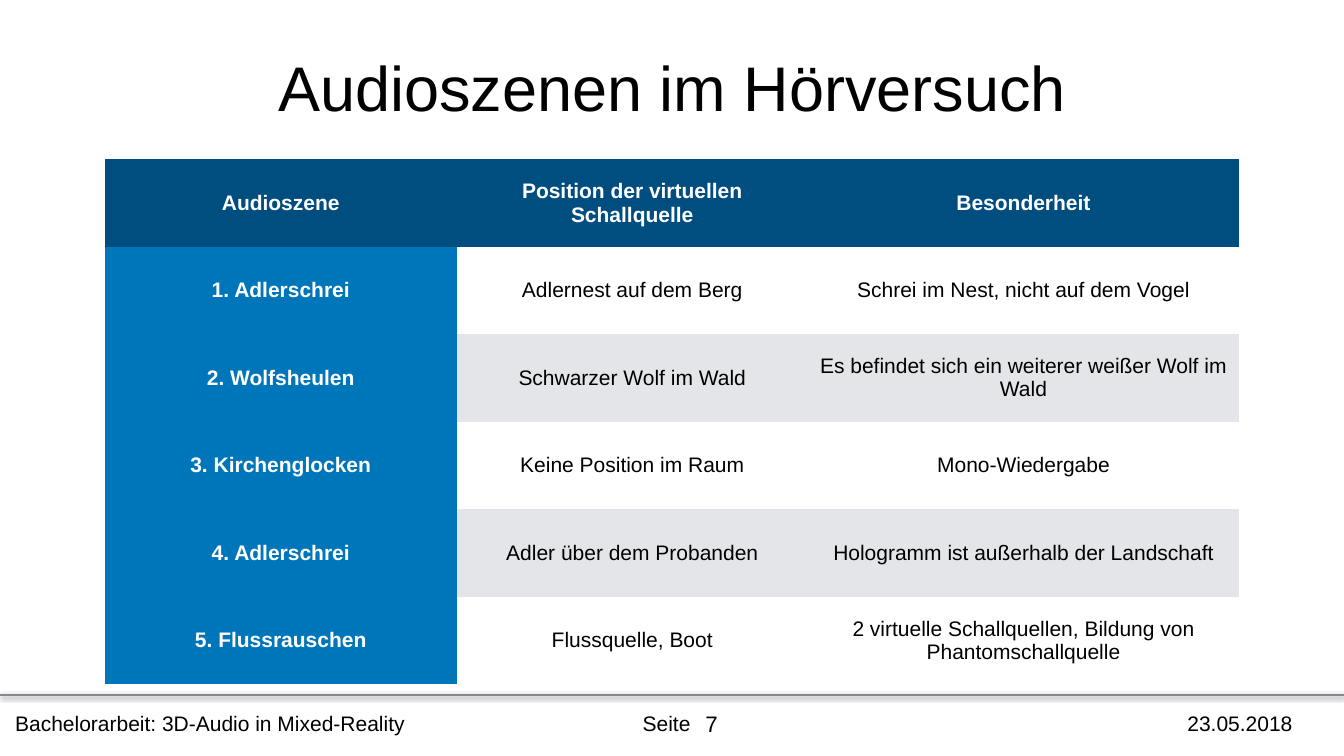
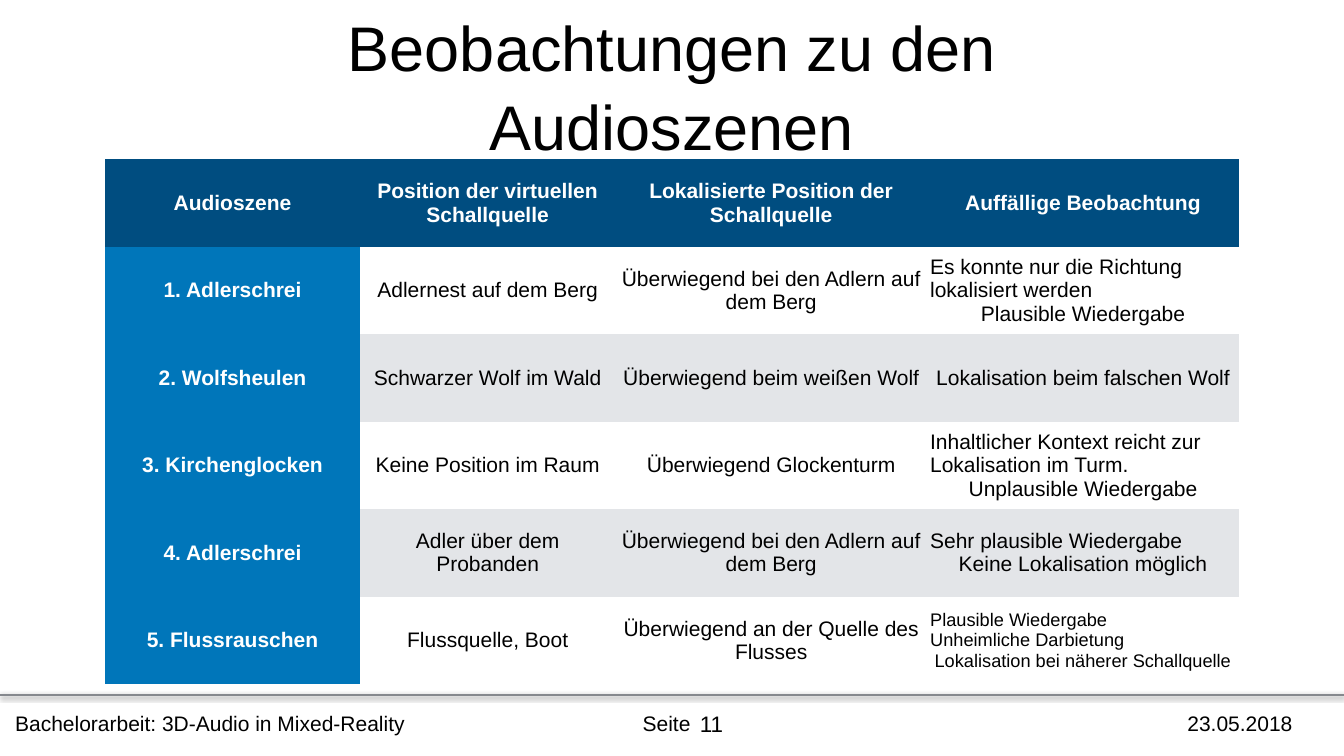
import pptx
import pptx.dml.color
import pptx.enum.shapes
import pptx.enum.text
import pptx.util
from dataclasses import dataclass
from lxml import etree
from pptx.oxml import ns

RGBColor = pptx.dml.color.RGBColor
Align = pptx.enum.text.PP_ALIGN
Anchor = pptx.enum.text.MSO_ANCHOR

# Slide grid: 128 columns by 72 rows of square cells
WIDE, HIGH = pptx.util.Inches(26.67), pptx.util.Inches(15)
COLS, ROWS = 128, 72

# Shared look
FONT = "Arial"
BLACK = RGBColor(0x00, 0x00, 0x00)
WHITE = RGBColor(0xFF, 0xFF, 0xFF)
NAVY = RGBColor(0x00, 0x4D, 0x80)
BLUE = RGBColor(0x00, 0x76, 0xBA)
PALE = RGBColor(0xE3, 0xE5, 0xE8)
GREY = RGBColor(0x85, 0x88, 0x8D)
PLAIN = "{2D5ABB26-0587-4C30-8999-92F81FD0307C}"  # table style without borders
INSET, PAD = pptx.util.Inches(0.08), pptx.util.Inches(0.06)
RULE = 66.2  # grid row of the footer line


@dataclass(frozen=True)
class Box:
    left: float
    top: float
    width: float
    height: float

    def place(self) -> tuple[int, int, int, int]:
        return (across(self.left), down(self.top),
                across(self.width), down(self.height))


@dataclass(frozen=True)
class Label:
    text: str
    box: Box


@dataclass(frozen=True)
class Page:
    title: str
    number: str
    shares: tuple[int, ...]  # relative column widths
    rows: tuple[tuple[str, ...], ...]


TITLE = Box(23, 0, 82, 16)
TABLE = Box(10, 15.17, 108, 50)
FOOTER = (
    Label("Bachelorarbeit: 3D-Audio in Mixed-Reality", Box(1.06, 67.3, 39, 3.17)),
    Label("23.05.2018", Box(112.7, 67.3, 13.8, 3.17)),
    Label("Seite", Box(60.82, 67.3, 6.4, 3.17)),
)

PAGES = (
    Page("Audioszenen im Hörversuch", "7", (31, 31, 38), (
        ("Audioszene", "Position der virtuellen Schallquelle", "Besonderheit"),
        ("1. Adlerschrei", "Adlernest auf dem Berg",
         "Schrei im Nest, nicht auf dem Vogel"),
        ("2. Wolfsheulen", "Schwarzer Wolf im Wald",
         "Es befindet sich ein weiterer weißer Wolf im Wald"),
        ("3. Kirchenglocken", "Keine Position im Raum", "Mono-Wiedergabe"),
        ("4. Adlerschrei", "Adler über dem Probanden",
         "Hologramm ist außerhalb der Landschaft"),
        ("5. Flussrauschen", "Flussquelle, Boot",
         "2 virtuelle Schallquellen, Bildung von Phantomschallquelle"),
    )),
    Page("Beobachtungen zu den Audioszenen", "11", (9, 9, 11, 11), (
        ("Audioszene", "Position der virtuellen Schallquelle",
         "Lokalisierte Position der Schallquelle", "Auffällige Beobachtung"),
        ("1. Adlerschrei", "Adlernest auf dem Berg",
         "Überwiegend bei den Adlern auf dem Berg",
         "Es konnte nur die Richtung lokalisiert werden\nPlausible Wiedergabe"),
        ("2. Wolfsheulen", "Schwarzer Wolf im Wald",
         "Überwiegend beim weißen Wolf", "Lokalisation beim falschen Wolf"),
        ("3. Kirchenglocken", "Keine Position im Raum", "Überwiegend Glockenturm",
         "Inhaltlicher Kontext reicht zur Lokalisation im Turm.\n"
         "Unplausible Wiedergabe"),
        ("4. Adlerschrei", "Adler über dem Probanden",
         "Überwiegend bei den Adlern auf dem Berg",
         "Sehr plausible Wiedergabe\nKeine Lokalisation möglich"),
        ("5. Flussrauschen", "Flussquelle, Boot",
         "Überwiegend an der Quelle des Flusses",
         "Plausible Wiedergabe\nUnheimliche Darbietung\n"
         "Lokalisation bei näherer Schallquelle"),
    )),
)


def across(cols: float) -> int:
    return round(WIDE * cols / COLS)


def down(rows: float) -> int:
    return round(HIGH * rows / ROWS)


def write(para, text: str, size: float, align, color=BLACK, bold=False) -> None:
    """Add one formatted run to a paragraph."""
    para.alignment = align
    run = para.add_run()
    run.text = text
    font = run.font
    font.name, font.size, font.bold = FONT, pptx.util.Pt(size), bold
    font.color.rgb = color


def frame(shape, anchor, wrap: bool = True):
    """Prepare a text frame and return its first paragraph."""
    body = shape.text_frame
    body.auto_size = pptx.enum.text.MSO_AUTO_SIZE.NONE
    body.word_wrap = wrap
    body.vertical_anchor = anchor
    body.margin_left = body.margin_right = INSET
    body.margin_top = body.margin_bottom = INSET
    return body.paragraphs[0]


def draw_title(slide, text: str) -> None:
    shape = slide.shapes.title
    shape.left, shape.top, shape.width, shape.height = TITLE.place()
    para = frame(shape, Anchor.MIDDLE)
    para.line_spacing = 1.05
    write(para, text, 90, Align.CENTER)


def draw_rule(slide) -> None:
    """Footer line with a soft shadow below it."""
    line = slide.shapes.add_connector(
        pptx.enum.shapes.MSO_CONNECTOR.STRAIGHT, 0, down(RULE), WIDE, down(RULE))
    line.line.color.rgb = GREY
    line.line.width = pptx.util.Pt(2)
    effect = etree.SubElement(line._element.spPr, ns.qn("a:effectLst"))
    shade = etree.SubElement(
        effect, ns.qn("a:outerShdw"), blurRad=str(pptx.util.Pt(7)),
        dist=str(pptx.util.Pt(2)), dir="5400000", rotWithShape="0")
    tone = etree.SubElement(shade, ns.qn("a:srgbClr"), val=str(BLACK))
    etree.SubElement(tone, ns.qn("a:alpha"), val="50000")


def draw_footer(slide, number: str) -> None:
    draw_rule(slide)
    for label in FOOTER:
        shape = slide.shapes.add_textbox(*label.box.place())
        write(frame(shape, Anchor.MIDDLE), label.text, 30, Align.LEFT)
    # The page number box grows with its digits around a fixed centre
    width = 0.83 + 1.18 * len(number)
    box = Box(67.77 - width / 2, 67.25, width, 3.26)
    shape = slide.shapes.add_textbox(*box.place())
    write(frame(shape, Anchor.TOP, False), number, 32, Align.CENTER)


def fill_cell(cell, text: str, row: int, col: int) -> None:
    head = row == 0 or col == 0
    cell.fill.solid()
    if head:
        cell.fill.fore_color.rgb = BLUE if row else NAVY
    else:
        cell.fill.fore_color.rgb = WHITE if row % 2 else PALE
    cell.vertical_anchor = Anchor.MIDDLE
    cell.margin_left = cell.margin_right = PAD
    cell.margin_top = cell.margin_bottom = PAD
    # Only the last line is centred; three lines get a smaller size
    lines = text.split("\n")
    size = 26 if len(lines) > 2 else 30
    body = cell.text_frame
    for nth, line in enumerate(lines, 1):
        para = body.paragraphs[0] if nth == 1 else body.add_paragraph()
        align = Align.CENTER if nth == len(lines) else Align.LEFT
        write(para, line, size, align, WHITE if head else BLACK, head)


def draw_table(slide, page: Page) -> None:
    shape = slide.shapes.add_table(
        len(page.rows), len(page.shares), *TABLE.place())
    table = shape.table
    table.first_col, table.horz_banding = True, False
    table._tbl.tblPr.find(ns.qn("a:tableStyleId")).text = PLAIN
    for col, share in zip(table.columns, page.shares):
        col.width = across(TABLE.width * share / sum(page.shares))
    for row in table.rows:
        row.height = down(TABLE.height / len(page.rows))
    for r, texts in enumerate(page.rows):
        for c, text in enumerate(texts):
            fill_cell(table.cell(r, c), text, r, c)


def main() -> None:
    deck = pptx.Presentation()
    deck.slide_width, deck.slide_height = WIDE, HIGH
    for page in PAGES:
        slide = deck.slides.add_slide(deck.slide_layouts[5])
        draw_footer(slide, page.number)
        draw_title(slide, page.title)
        draw_table(slide, page)
    deck.save("out.pptx")


if __name__ == "__main__":
    main()
